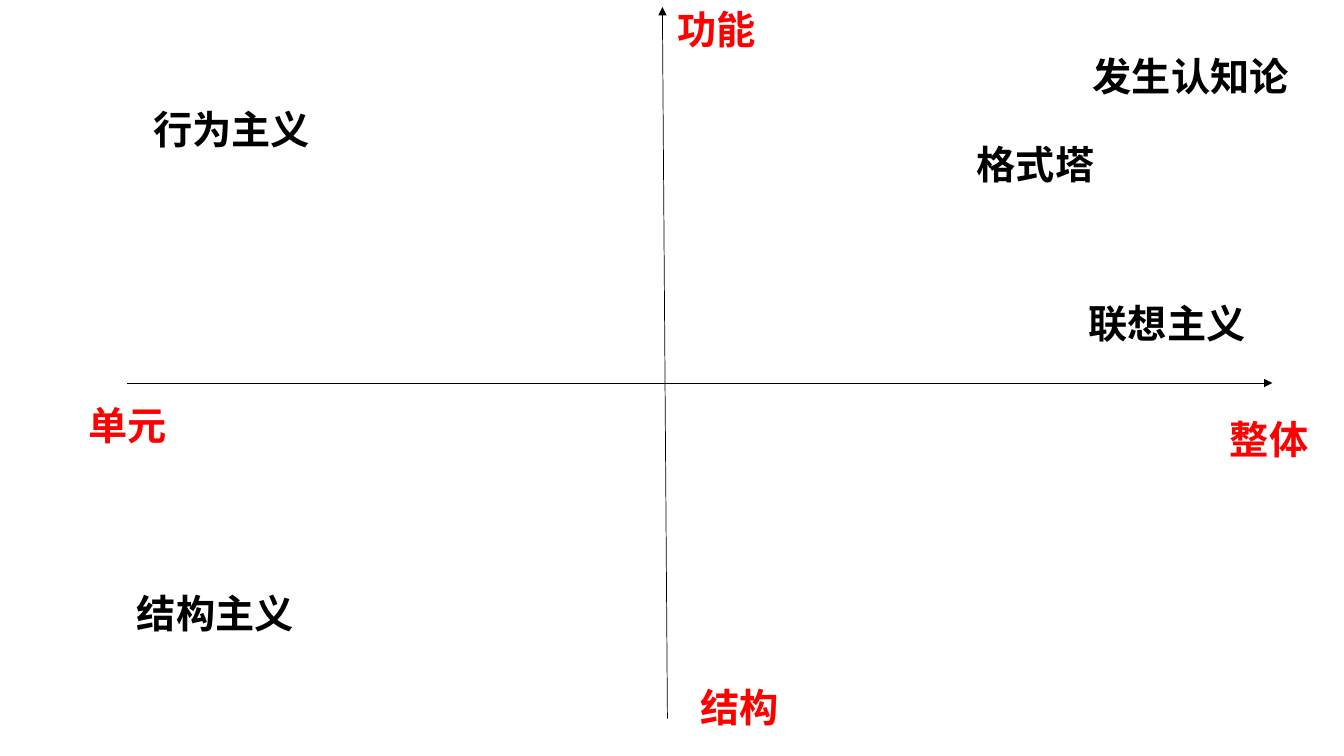
from lxml.etree import SubElement
from pptx import Presentation
from pptx.dml.color import RGBColor
from pptx.enum.shapes import MSO_CONNECTOR
from pptx.enum.text import MSO_AUTO_SIZE
from pptx.oxml.ns import qn
from pptx.util import Emu, Pt

FONT = "Noto Sans CJK SC"
RED, BLACK = "FF0000", "000000"


def px(n):
    return Emu(n * 9144)  # 100 px to the inch


def rgb(value):
    return RGBColor.from_string(value)


prs = Presentation()
prs.slide_width, prs.slide_height = px(1333), px(750)
s = prs.slides.add_slide(prs.slide_layouts[6])

# Axes: start and end points, arrowhead at the end
axes = [
    (126, 380, 1262, 380),
    (662, 713, 657, 7),
]
for ends in axes:
    axis = s.shapes.add_connector(MSO_CONNECTOR.STRAIGHT, *map(px, ends))
    axis.line.color.rgb = rgb(BLACK)
    axis.line.width = Pt(0.5)
    SubElement(axis.line._get_or_add_ln(), qn("a:tailEnd"), type="triangle")
    SubElement(axis._element.spPr, qn("a:effectLst"))

# Labels: text, left, top, width, colour
labels = [
    # Axis ends
    ("单元", 78, 393, 124, RED),
    ("整体", 1210, 407, 124, RED),
    ("结构", 685, 673, 124, RED),
    ("功能", 662, 0, 124, RED),
    # Schools of psychology
    ("联想主义", 1070, 292, 192, BLACK),
    ("结构主义", 126, 580, 192, BLACK),
    ("行为主义", 142, 100, 192, BLACK),
    ("发生认知论", 1074, 47, 246, BLACK),
    ("格式塔", 959, 134, 192, BLACK),
]
for text, left, top, width, color in labels:
    sp = s.shapes.add_textbox(px(left), px(top), px(width), px(57))
    tf = sp.text_frame
    tf.word_wrap = True
    tf.auto_size = MSO_AUTO_SIZE.SHAPE_TO_FIT_TEXT
    r = tf.paragraphs[0].add_run()
    r.text = text
    r.font.size = Pt(28)
    r.font.bold = True
    r.font.color.rgb = rgb(color)
    r.font.name = FONT
    SubElement(r.font._element, qn("a:ea"), typeface=FONT)

prs.save("out.pptx")
